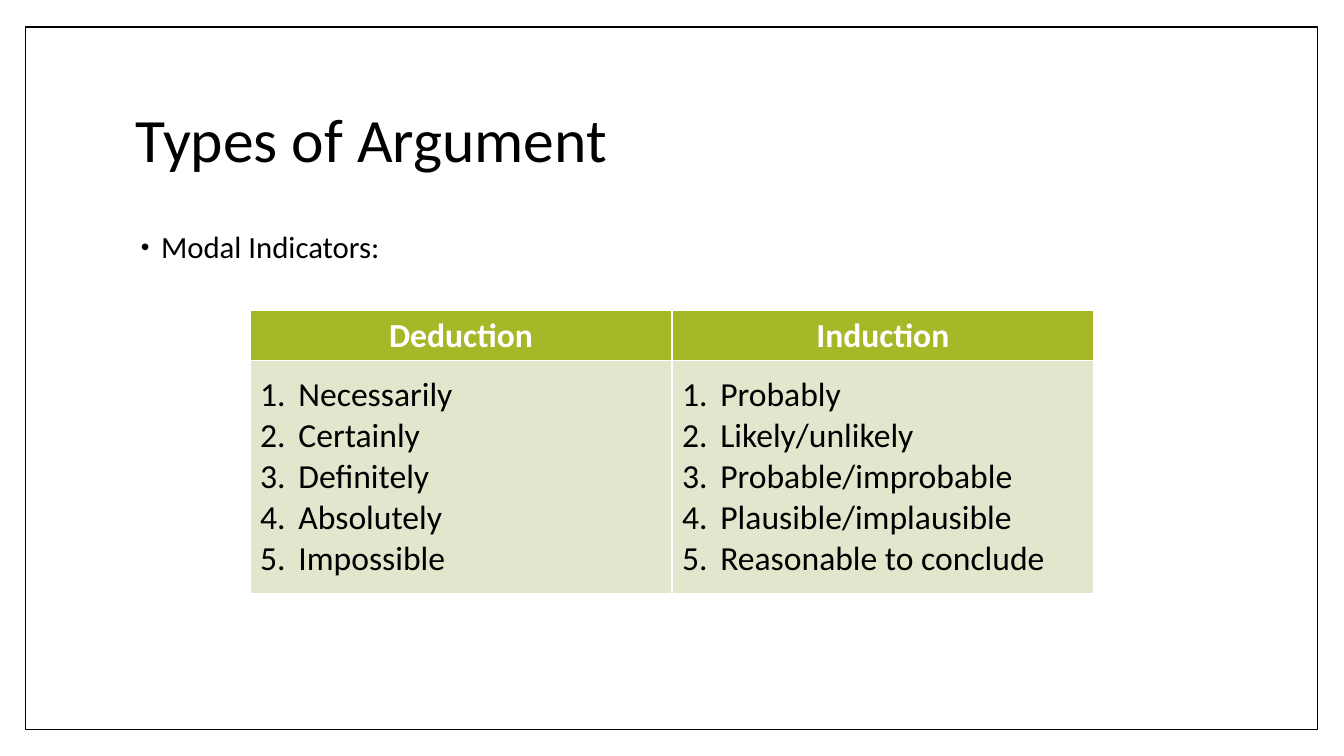
from pptx import Presentation
from pptx.util import Inches, Pt
from pptx.dml.color import RGBColor
from pptx.enum.shapes import MSO_SHAPE as Shape
from pptx.enum.text import MSO_ANCHOR as Anchor, PP_ALIGN as Align
from pptx.oxml.ns import qn
from lxml.etree import SubElement

BLACK = RGBColor(0x00, 0x00, 0x00)
WHITE = RGBColor(0xFF, 0xFF, 0xFF)
GREEN = RGBColor(0xA6, 0xB7, 0x27)
PALE = RGBColor(0xE1, 0xE6, 0xCD)


def style(para, size, color, bold=False):
    font = para.font
    font.name = "Calibri"
    font.size = Pt(size)
    font.bold = bold
    font.color.rgb = color


def hang(para, left, first, marks):
    props = para._p.get_or_add_pPr()
    props.set("marL", str(Inches(left)))
    props.set("indent", str(Inches(first)))
    for tag, key, value in marks:
        SubElement(props, qn(tag)).set(key, value)


deck = Presentation()
deck.slide_width = Inches(13.33)
deck.slide_height = Inches(7.5)
slide = deck.slides.add_slide(deck.slide_layouts[6])
shapes = slide.shapes

frame = shapes.add_shape(Shape.RECTANGLE, Inches(0.25), Inches(0.27), Inches(12.82), Inches(6.97))
frame.shadow.inherit = False
frame.fill.solid()
frame.fill.fore_color.rgb = WHITE
frame.line.color.rgb = BLACK
frame.line.width = Pt(1)

title = shapes.add_textbox(Inches(1.25), Inches(0.67), Inches(10.8), Inches(1.48)).text_frame
title.word_wrap = True
title.vertical_anchor = Anchor.MIDDLE
head = title.paragraphs[0]
head.text = "Types of Argument"
head.line_spacing = 0.9
style(head, 44, BLACK)

body = shapes.add_textbox(Inches(1.25), Inches(2.25), Inches(10.8), Inches(4.42)).text_frame
body.word_wrap = True
point = body.paragraphs[0]
point.text = "Modal Indicators:"
point.line_spacing = 0.9
hang(point, 0.25, -0.2, [("a:buSzPct", "val", "80000"), ("a:buFont", "typeface", "Arial"),
                         ("a:buChar", "char", "•")])
style(point, 22, BLACK)

lists = {
    "Deduction": ["Necessarily", "Certainly", "Definitely", "Absolutely", "Impossible"],
    "Induction": ["Probably", "Likely/unlikely", "Probable/improbable",
                  "Plausible/implausible", "Reasonable to conclude"],
}
table = shapes.add_table(2, 2, Inches(2.48), Inches(3.08), Inches(8.37), Inches(2.81)).table
table.rows[0].height = Inches(0.5)
table.rows[1].height = Inches(2.31)

for col, (name, words) in enumerate(lists.items()):
    top, cell = table.cell(0, col), table.cell(1, col)
    for box, fill, text in ((top, GREEN, name), (cell, PALE, "\n".join(words))):
        box.fill.solid()
        box.fill.fore_color.rgb = fill
        box.vertical_anchor = Anchor.MIDDLE
        box.text = text
    label = top.text_frame.paragraphs[0]
    label.alignment = Align.CENTER
    style(label, 24, WHITE, True)
    for para in cell.text_frame.paragraphs:
        hang(para, 0.38, -0.38, [("a:buFont", "typeface", "+mj-lt"),
                                 ("a:buAutoNum", "type", "arabicPeriod")])
        style(para, 24, BLACK)

deck.save("out.pptx")
